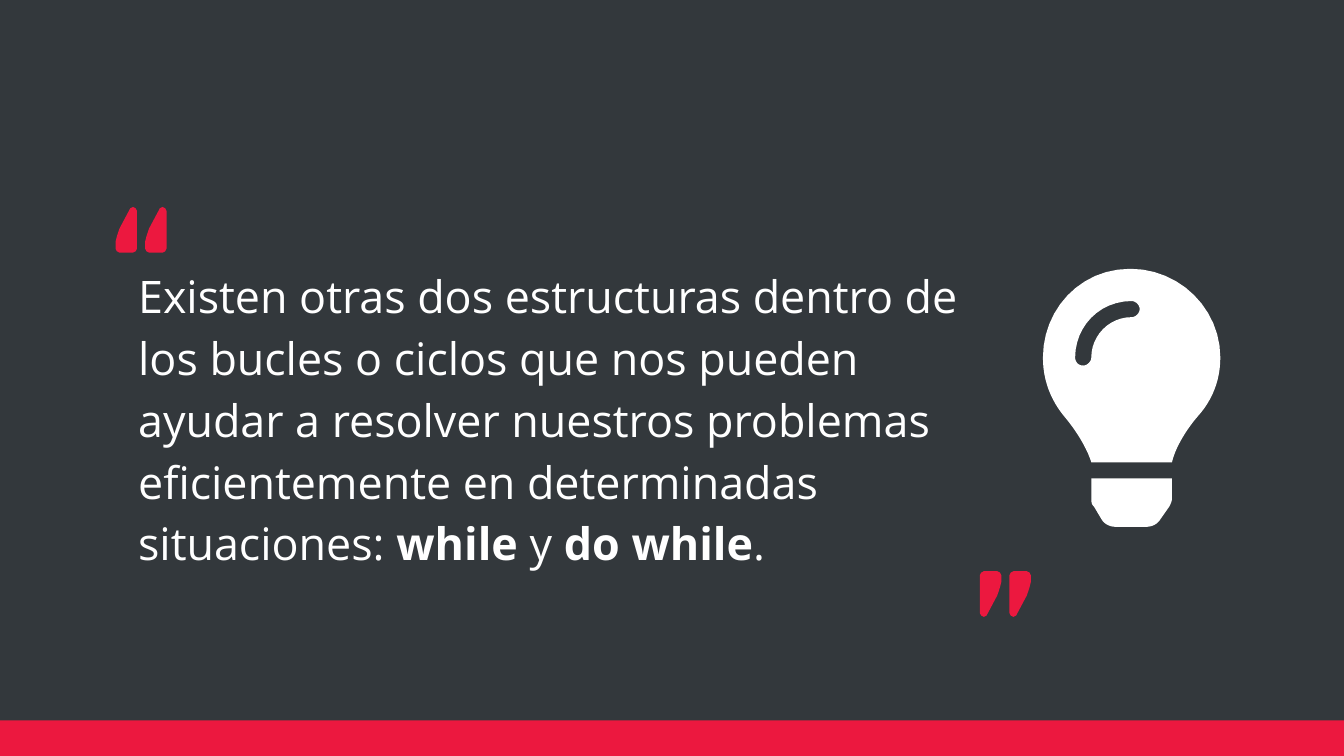
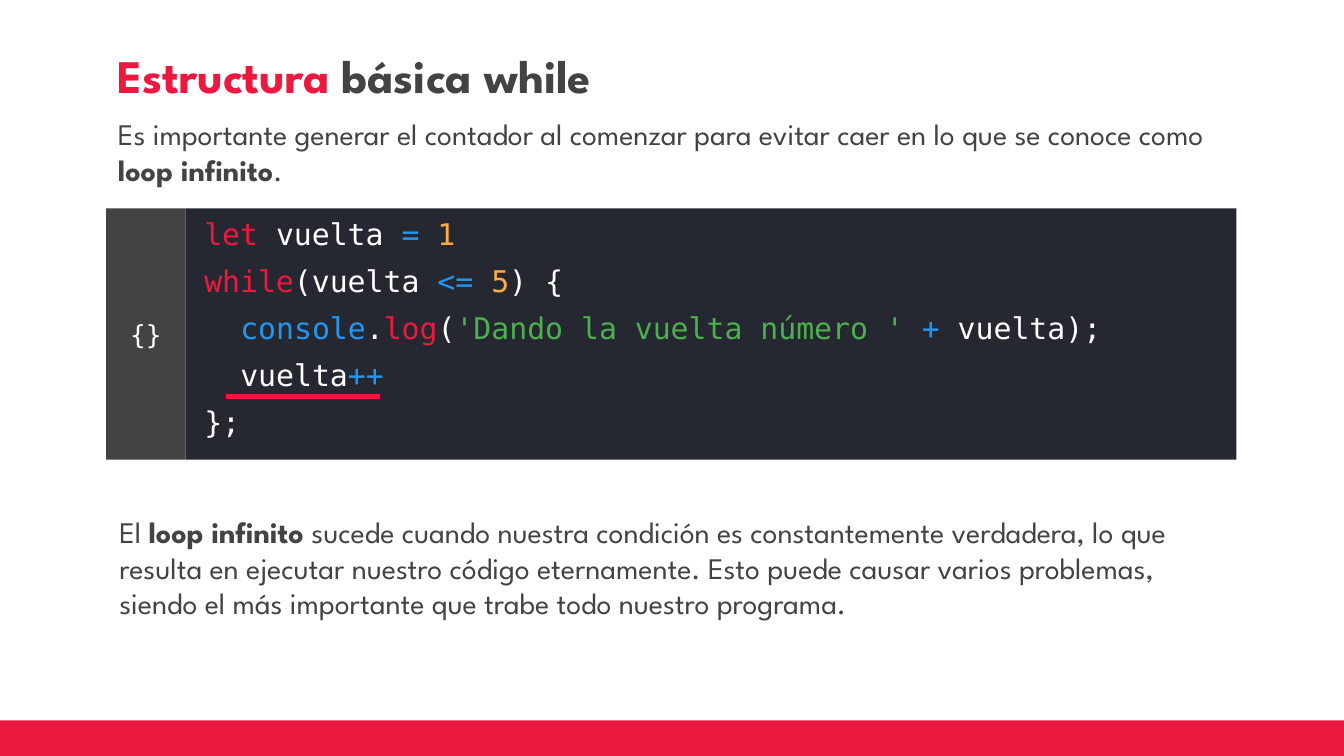
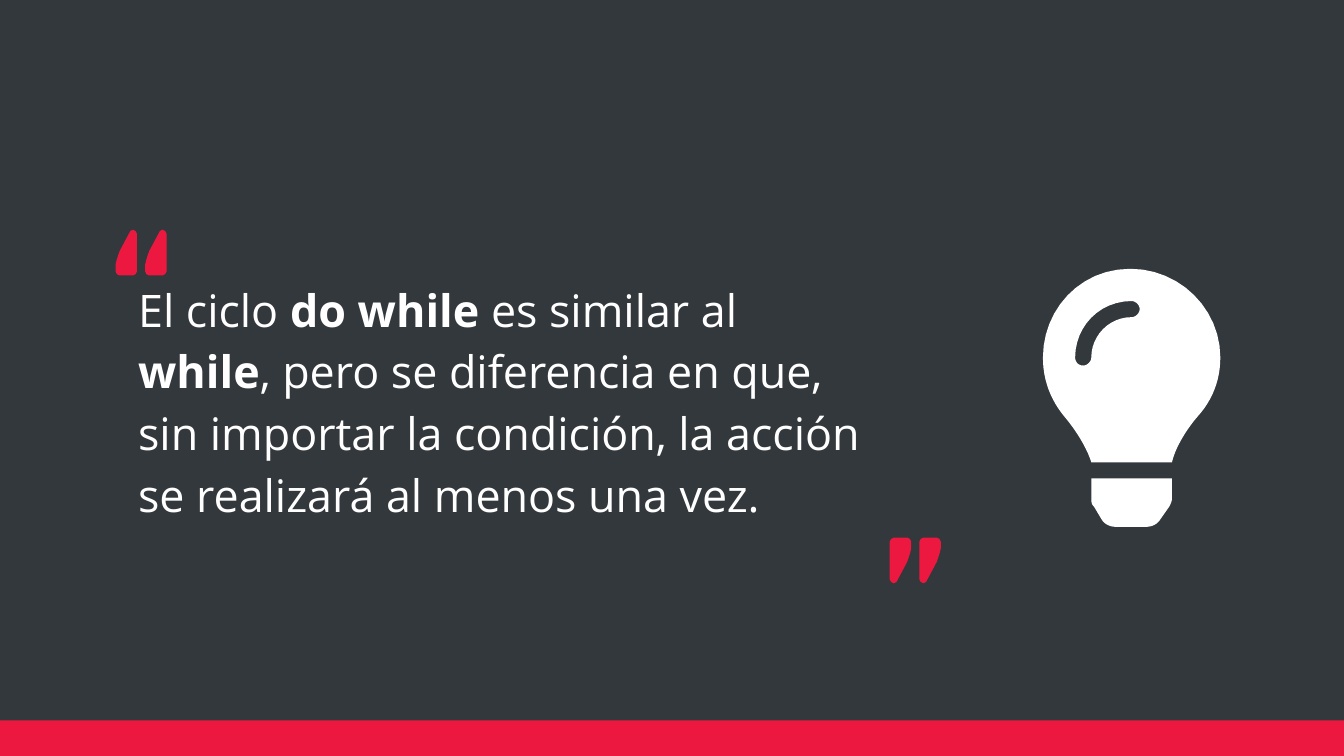
from collections import namedtuple

from lxml.etree import SubElement
from pptx import Presentation
from pptx.dml.color import RGBColor
from pptx.enum.shapes import MSO_CONNECTOR as Connector, MSO_SHAPE as Preset
from pptx.enum.text import MSO_ANCHOR as Anchor, PP_ALIGN as Align
from pptx.oxml.ns import qn
from pptx.util import Emu, Inches, Pt

SLIDE_WIDTH, SLIDE_HEIGHT = Inches(10), Inches(5.625)
COLUMNS, ROWS = 100, 56.25
CELL = SLIDE_WIDTH / COLUMNS

RED, WHITE, SLATE, GRAY = "EC183F", "FFFFFF", "33383C", "434343"
NAVY, BLUE, ORANGE, GREEN = "262831", "2196F3", "FFAB40", "4CAF50"
HEADING_FONT, QUOTE_FONT, CODE_FONT = "League Spartan", "Open Sans", "DejaVu Sans Mono"

Box = namedtuple("Box", "left top width height")
Span = namedtuple("Span", "text color bold", defaults=(None, False))

BULB_BOX = Box(77.6, 20, 13.2, 19.2)
BULB_BASE = [
    [(3.6, 17.1)], [(3.6, 17.3), (3.6, 17.5), (3.8, 17.7)], [(4.4, 18.7)],
    [(4.6, 19), (5, 19.2), (5.4, 19.2)], [(7.7, 19.2)],
    [(8.1, 19.2), (8.5, 19), (8.7, 18.7)], [(9.4, 17.7)],
    [(9.5, 17.5), (9.6, 17.3), (9.6, 17.1)], [(9.6, 15.6)], [(3.6, 15.6)],
]
BULB_GLASS = [
    [(0, 6.6)], [(0, 8.3), (0.6, 9.8), (1.6, 11)],
    [(2.2, 11.7), (3.2, 13.1), (3.6, 14.4)], [(9.6, 14.4)],
    [(9.9, 13.1), (10.9, 11.7), (11.5, 11)],
    [(12.6, 9.8), (13.2, 8.3), (13.2, 6.6)],
    [(13.2, 3), (10.2, 0), (6.5, 0)], [(2.7, 0), (0, 3.1), (0, 6.6)],
]
BULB_GLINT = [
    [(6.6, 3.6)], [(4.9, 3.6), (3.6, 5), (3.6, 6.6)],
    [(3.6, 6.9), (3.3, 7.2), (3, 7.2)], [(2.6, 7.2), (2.4, 6.9), (2.4, 6.6)],
    [(2.4, 4.3), (4.2, 2.4), (6.6, 2.4)], [(6.9, 2.4), (7.2, 2.7), (7.2, 3)],
    [(7.2, 3.3), (6.9, 3.6), (6.6, 3.6)],
]
QUOTE_MARK = [
    (1.3, 0), (1.1, 0.1), (0.3, 1.6), (0.2, 1.9), (0.1, 2.2), (0, 2.6), (0, 3.1),
    (0.1, 3.3), (0.3, 3.4), (1.3, 3.4), (1.5, 3.3), (1.6, 3.1), (1.6, 0.3), (1.5, 0.1),
]
MARK_STEP = 2.2
CURVE_STEPS = 12


def rgb(color):
    return RGBColor.from_string(color)


def cells(*lengths):
    return [Emu(round(length * CELL)) for length in lengths]


def paint(shape, color):
    shape.shadow.inherit = False
    shape.fill.solid()
    shape.fill.fore_color.rgb = rgb(color)
    shape.line.fill.background()
    return shape


def write(shape, paragraphs, *, font, size, color, align=Align.LEFT, anchor=Anchor.TOP,
          insets=(1, 1, 1, 1), before=0, spacing=None, indents=None):
    frame = shape.text_frame
    frame.word_wrap = True
    frame.vertical_anchor = anchor
    (frame.margin_left, frame.margin_top,
     frame.margin_right, frame.margin_bottom) = cells(*insets)
    for index, spans in enumerate(paragraphs):
        para = frame.add_paragraph() if index else frame.paragraphs[0]
        para.alignment = align
        para.space_before = Pt(before)
        para.line_spacing = spacing
        if indents and indents[index]:
            para._p.get_or_add_pPr().set("marL", str(cells(indents[index])[0]))
        for span in spans:
            run = para.add_run()
            run.text = span.text
            run.font.name = font
            run.font.size = Pt(size)
            run.font.bold = span.bold
            run.font.color.rgb = rgb(span.color or color)


def add_text(page, box, spans, **style):
    write(page.shapes.add_textbox(*cells(*box)), [spans], **style)


def add_block(page, box, color):
    return paint(page.shapes.add_shape(Preset.RECTANGLE, *cells(*box)), color)


def flatten(segments):
    points = list(segments[0])
    for segment in segments[1:]:
        if len(segment) == 1:
            points += segment
            continue
        curve = [points[-1], *segment]
        for step in range(1, CURVE_STEPS + 1):
            t = step / CURVE_STEPS
            weights = ((1 - t) ** 3, 3 * t * (1 - t) ** 2, 3 * t * t * (1 - t), t ** 3)
            points.append(tuple(sum(w * p[axis] for w, p in zip(weights, curve))
                                for axis in (0, 1)))
    return points


def add_outline(page, left, top, contours, color):
    placed = [[cells(left + x, top + y) for x, y in contour] for contour in contours]
    builder = page.shapes.build_freeform(*placed[0][0])
    for index, contour in enumerate(placed):
        if index:
            builder.move_to(*contour[0])
        builder.add_line_segments(contour[1:], close=True)
    return paint(builder.convert_to_shape(), color)


def add_bulb(page, box):
    contours = [flatten(part) for part in (BULB_BASE, BULB_GLASS, BULB_GLINT)]
    add_outline(page, box.left, box.top, contours, WHITE)


def add_quote_marks(page, left, top, rotation=0):
    marks = [add_outline(page, left + step * MARK_STEP, top, [QUOTE_MARK], RED)
             for step in range(2)]
    for mark in marks:
        mark.rotation = rotation
    page.shapes.add_group_shape(marks)


def add_page(deck, background):
    page = deck.slides.add_slide(deck.slide_layouts[6])
    page.background.fill.solid()
    page.background.fill.fore_color.rgb = rgb(background)
    return page


def add_footer(page):
    add_block(page, Box(-0.2, 53.6, COLUMNS + 0.3, ROWS - 53.6), RED)


def quote_page(deck, box, spans, opening, closing):
    page = add_page(deck, SLATE)
    add_text(page, box, spans, font=QUOTE_FONT, size=24, color=WHITE,
             anchor=Anchor.MIDDLE, insets=(1, 0.5, 1, 0.5), before=6, spacing=1.15)
    add_bulb(page, BULB_BOX)
    add_quote_marks(page, *opening)
    add_quote_marks(page, *closing, rotation=180)
    add_footer(page)


def add_code(page, box, lines, indents):
    gutter = 5.9
    panel = add_block(page, box._replace(left=box.left + gutter, width=box.width - gutter), NAVY)
    write(panel, lines, font=CODE_FONT, size=16, color=WHITE, anchor=Anchor.MIDDLE,
          insets=(1.4, 0, 1, 1), before=6, indents=indents)
    label = add_block(page, box._replace(width=gutter), GRAY)
    write(label, [[Span("{}")]], font=CODE_FONT, size=14, color=WHITE,
          align=Align.CENTER, anchor=Anchor.MIDDLE)
    page.shapes.add_group_shape([panel, label])


def add_underline(page, left, top, width):
    line = page.shapes.add_connector(Connector.STRAIGHT, *cells(left, top, left + width, top))
    line.line.color.rgb = rgb(RED)
    line.line.width = Pt(2.25)
    SubElement(line._element.spPr, qn("a:effectLst"))


def code_page(deck, title, intro, lines, indents, closing):
    page = add_page(deck, WHITE)
    body = dict(font=HEADING_FONT, size=16, color=GRAY, before=6)
    code_box = Box(7.9, 15.5, 84.1, 18.7)
    add_code(page, code_box, lines, indents)
    add_text(page, Box(7.9, 37.2, 84.3, 10.4), closing, **body)
    add_underline(page, code_box.left + 8.9, code_box.top + 14, 11.5)
    add_footer(page)
    add_text(page, Box(7.8, 7.6, 84.3, 8.7), intro, **body)
    add_text(page, Box(7.8, 1.8, 84.3, 6.9), title, font=HEADING_FONT, size=25,
             color=GRAY, anchor=Anchor.BOTTOM, spacing=0.9)


def main():
    deck = Presentation()
    deck.slide_width, deck.slide_height = SLIDE_WIDTH, SLIDE_HEIGHT
    quote_page(
        deck, Box(9.3, 19.2, 63.6, 23.4),
        [Span("Existen otras dos estructuras dentro de los bucles o ciclos que nos pueden "
              "ayudar a resolver nuestros problemas eficientemente en determinadas situaciones: "),
         Span("while ", bold=True), Span("y "), Span("do while", bold=True), Span(".")],
        opening=(8.6, 15.4), closing=(72.9, 42.5))
    code_page(
        deck,
        title=[Span("Estructura", RED, True), Span(" básica while", bold=True)],
        intro=[Span("Es importante generar el contador al comenzar para evitar caer "
                    "en lo que se conoce como "),
               Span("loop infinito", bold=True), Span(".")],
        lines=[
            [Span("let ", RED), Span("vuelta "), Span("= ", BLUE), Span("1", ORANGE)],
            [Span("while", RED), Span("(vuelta"), Span(" <= ", BLUE), Span("5", ORANGE),
             Span(") {")],
            [Span("console", BLUE), Span("."), Span("log", RED), Span("("),
             Span("'Dando la vuelta número ' ", GREEN), Span("+", BLUE), Span(" vuelta);")],
            [Span("vuelta"), Span("++", BLUE)],
            [Span("};")],
        ],
        indents=(0, 0, 2.68, 2.68, 0),
        closing=[Span("El "), Span("loop infinito", bold=True),
                 Span(" sucede cuando nuestra condición es constantemente verdadera, lo que "
                      "resulta en ejecutar nuestro código eternamente. Esto puede causar varios "
                      "problemas, siendo el más importante que trabe todo nuestro programa.")])
    quote_page(
        deck, Box(9.3, 17.9, 57, 23.4),
        [Span("El ciclo "), Span("do while ", bold=True), Span("es similar al "),
         Span("while", bold=True),
         Span(", pero se diferencia en que, sin importar la condición, "
              "la acción se realizará al menos una vez.")],
        opening=(8.6, 17.1), closing=(66.2, 40))
    deck.save("out.pptx")


if __name__ == "__main__":
    main()
